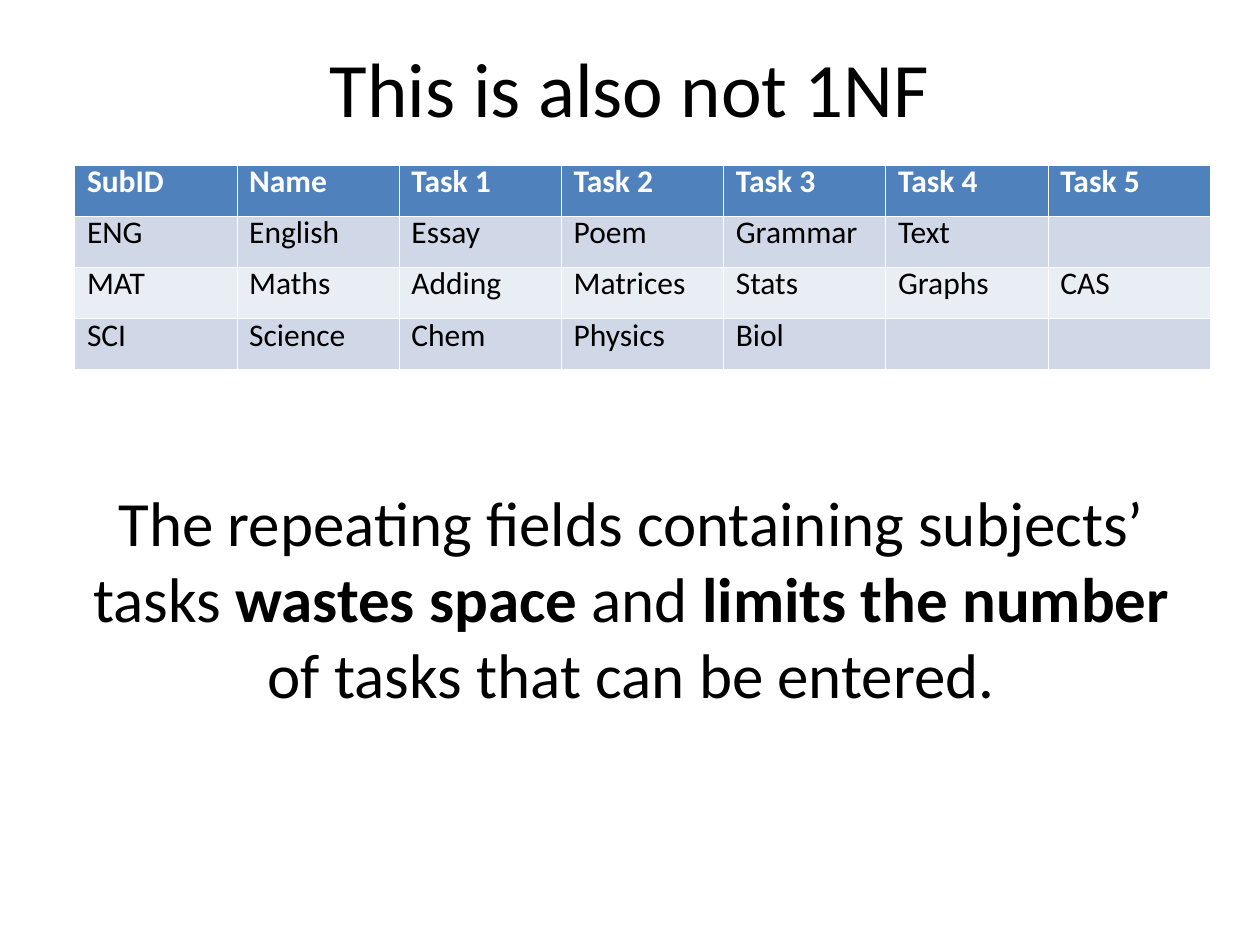
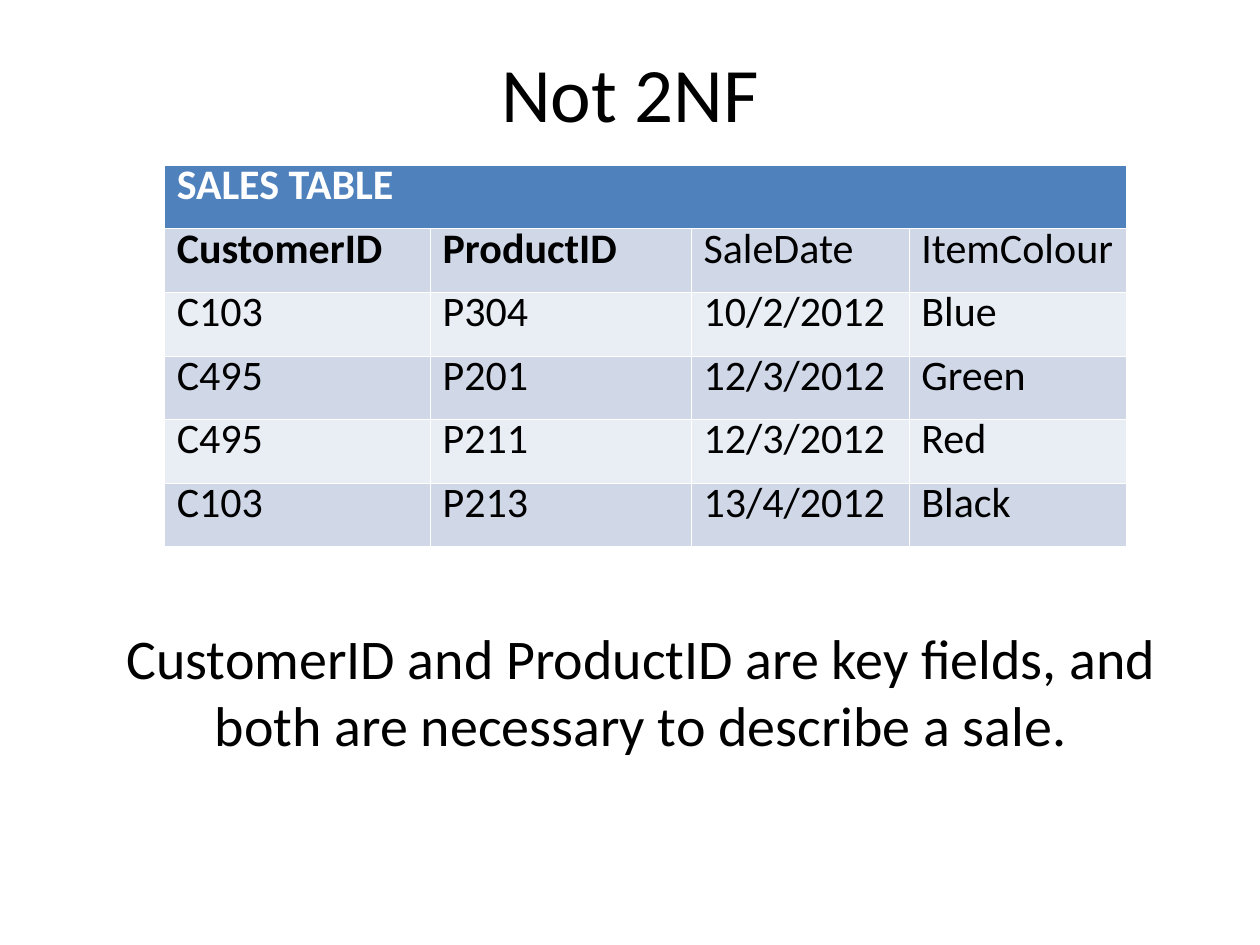
import pptx
import pptx.util
import pptx.dml.color
import pptx.enum.text
import pptx.oxml
import pptx.oxml.ns

Cm, Pt = pptx.util.Cm, pptx.util.Pt
ALIGN = pptx.enum.text.PP_ALIGN
ANCHOR = pptx.enum.text.MSO_ANCHOR


def color(code):
    return pptx.dml.color.RGBColor.from_string(code)


class Deck:
    """Shared style and the slide being filled."""
    font = "Calibri"
    ink, white = "000000", "FFFFFF"
    head, dark, light = "4F81BD", "D0D8E8", "E9EDF4"
    left, width, top = 1.27, 22.86, 0.76
    table_top = 3.33

    def __init__(self):
        self.file = pptx.Presentation()
        self.file.slide_width, self.file.slide_height = Cm(25.4), Cm(19.05)
        self.slide = None

    def page(self):
        self.slide = self.file.slides.add_slide(self.file.slide_layouts[6])
        self.slide.background.fill.solid()
        self.slide.background.fill.fore_color.rgb = color(self.white)

    def style(self, run, size, code, bold=False):
        run.font.name, run.font.size, run.font.bold = self.font, Pt(size), bold
        run.font.color.rgb = color(code)

    def space(self, para):
        para.space_before = para.space_after = Pt(0.3)

    def text(self, left, top, height, size, parts):
        """Centred paragraph; every second part is bold."""
        box = self.slide.shapes.add_textbox(
            Cm(left), Cm(top), Cm(self.width), Cm(height))
        frame = box.text_frame
        frame.word_wrap = True
        frame.vertical_anchor = ANCHOR.MIDDLE
        para = frame.paragraphs[0]
        para.alignment = ALIGN.CENTER
        self.space(para)
        for i, part in enumerate(parts):
            run = para.add_run()
            run.text = part
            self.style(run, size, self.ink, i % 2 == 1)

    def title(self, words, height):
        self.text(self.left, self.top, height, 44, [words])

    def edges(self, cell, row):
        """Hairlines in white, thicker below the header."""
        thick = {0: "lnB", 1: "lnT"}.get(row)
        props = cell._tc.get_or_add_tcPr()
        for i, side in enumerate(("lnL", "lnR", "lnT", "lnB")):
            wide = Pt(0.34 if side == thick else 0.11)
            props.insert(i, pptx.oxml.parse_xml(
                f'<a:{side} {pptx.oxml.ns.nsdecls("a")} w="{wide}"><a:solidFill>'
                f'<a:srgbClr val="{self.white}"/></a:solidFill></a:{side}>'))

    def table(self, left, cols, tall, size, rows, keys=()):
        """Banded table; keys are the bold words below the header."""
        grid = self.slide.shapes.add_table(
            len(rows), len(cols), Cm(left), Cm(self.table_top),
            Cm(sum(cols)), Cm(tall * len(rows))).table
        for col, wide in zip(grid.columns, cols):
            col.width = Cm(wide)
        for r, words in enumerate(rows):
            grid.rows[r].height = Cm(tall)
            back = self.head if r == 0 else self.dark if r % 2 else self.light
            for c in range(len(cols)):
                cell = grid.cell(r, c)
                cell.fill.solid()
                cell.fill.fore_color.rgb = color(back)
                self.edges(cell, r)
                if c >= len(words):
                    continue
                cell.text_frame.text = words[c]
                para = cell.text_frame.paragraphs[0]
                para.line_spacing = 0.69
                self.space(para)
                self.style(para.runs[0], size, self.white if r == 0 else self.ink,
                           r == 0 or words[c] in keys)
        if len(rows[0]) == 1:
            grid.cell(0, 0).merge(grid.cell(0, len(cols) - 1))


deck = Deck()

# Repeating fields
deck.page()
deck.title("This is also not 1NF", 1.96)
deck.table(1.5, [3.27] * 7, 1.03, 18, [
    ["SubID", "Name"] + [f"Task {n}" for n in range(1, 6)],
    ["ENG", "English", "Essay", "Poem", "Grammar", "Text"],
    ["MAT", "Maths", "Adding", "Matrices", "Stats", "Graphs", "CAS"],
    ["SCI", "Science", "Chem", "Physics", "Biol"],
])
deck.text(1.3, 8.74, 6.6, 36, [
    "The repeating fields containing subjects’ tasks ", "wastes space ",
    "and ", "limits the number ", "of tasks that can be entered."])

# Key fields
deck.page()
deck.title("Not 2NF", 2.16)
deck.table(3.31, [5.36, 5.26, 4.39, 4.39], 1.28, 24, [
    ["SALES TABLE"],
    ["CustomerID", "ProductID", "SaleDate", "ItemColour"],
    ["C103", "P304", "10/2/2012", "Blue"],
    ["C495", "P201", "12/3/2012", "Green"],
    ["C495", "P211", "12/3/2012", "Red"],
    ["C103", "P213", "13/4/2012", "Black"],
], keys=("CustomerID", "ProductID"))
deck.text(1.5, 10.13, 7.6, 32, [
    "CustomerID and ProductID are key fields, and both are necessary "
    "to describe a sale."])

deck.file.save("out.pptx")
